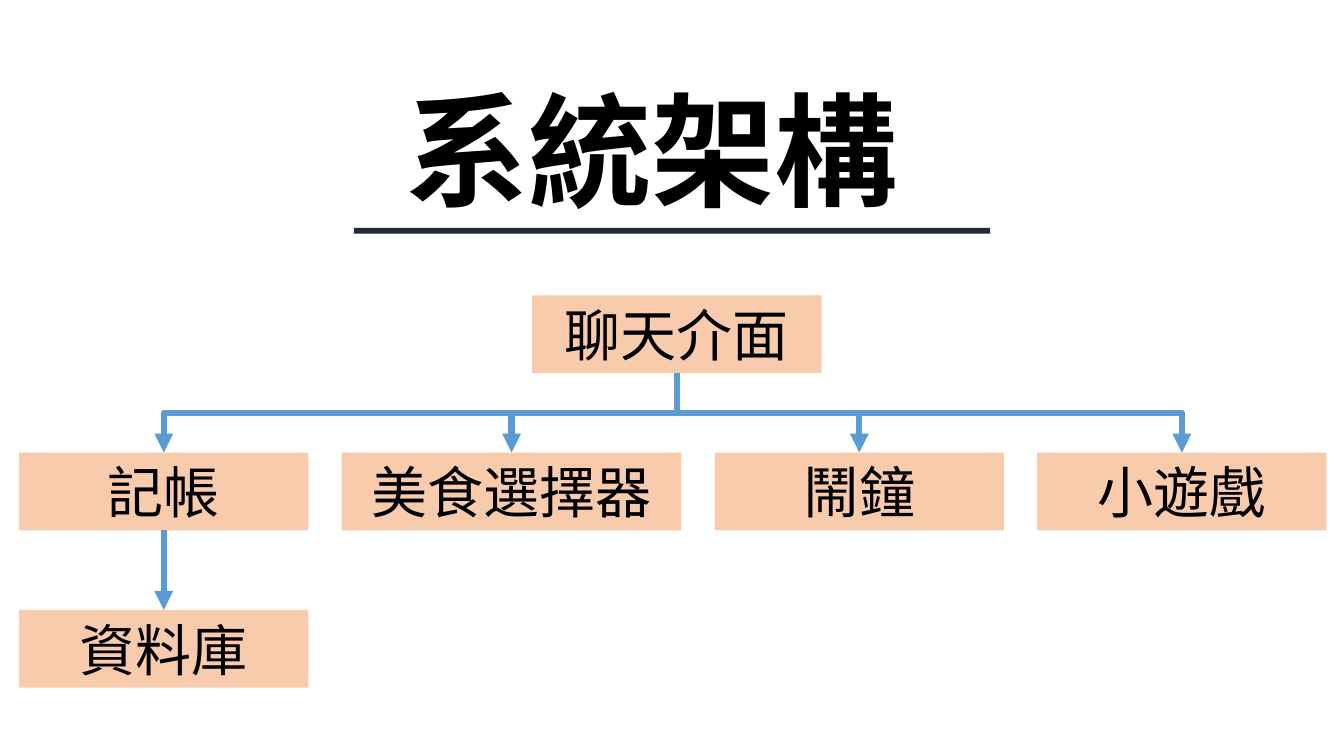
from lxml import etree
from pptx import Presentation
from pptx.dml.color import RGBColor
from pptx.enum.shapes import MSO_CONNECTOR, MSO_SHAPE
from pptx.enum.text import MSO_ANCHOR, PP_ALIGN
from pptx.oxml.ns import qn
from pptx.util import Inches, Pt

RECTANGLE = MSO_SHAPE.RECTANGLE
STRAIGHT, ELBOW = MSO_CONNECTOR.STRAIGHT, MSO_CONNECTOR.ELBOW
CENTER, LEFT = PP_ALIGN.CENTER, PP_ALIGN.LEFT
MIDDLE = MSO_ANCHOR.MIDDLE

SLIDE_W, SLIDE_H = Inches(13.33), Inches(7.5)
FONT = "Noto Sans CJK SC"
COLORS = {"text": "000000", "box": "F8CBAD", "arrow": "5B9BD5", "rule": "222A35"}

# Tree grid, in percent of the slide's width and height
TREE_LEFT, TREE_TOP = 1.42, 39.07
BOX_W, WIDE_BOX_W, BOX_H = 21.53, 25.28, 10.3
COLUMN_GAP, LEVEL_STEP = 2.47, 20.8
ROOT_LEFT = 39.6

FEATURES = [("記帳", BOX_W), ("美食選擇器", WIDE_BOX_W),
            ("鬧鐘", BOX_W), ("小遊戲", BOX_W)]


def across(percent):
    return round(SLIDE_W * percent / 100)


def down(percent):
    return round(SLIDE_H * percent / 100)


def color(name):
    return RGBColor.from_string(COLORS[name])


def write(shape, wording, size, align, bold=False):
    frame = shape.text_frame
    frame.word_wrap = True
    frame.vertical_anchor = MIDDLE
    frame.text = wording
    paragraph = frame.paragraphs[0]
    paragraph.alignment = align
    run = paragraph.runs[0]
    run.font.size = Pt(size)
    run.font.bold = bold
    run.font.name = FONT
    run.font.color.rgb = color("text")
    # East Asian typeface
    etree.SubElement(run.font._element, qn("a:ea"), typeface=FONT)


def add_bar(slide, left, top, width, height, fill):
    bar = slide.shapes.add_shape(
        RECTANGLE, across(left), down(top), across(width), down(height))
    bar.shadow.inherit = False
    bar.fill.solid()
    bar.fill.fore_color.rgb = color(fill)
    bar.line.fill.background()
    return bar


def add_node(slide, wording, left, level, width=BOX_W):
    node = add_bar(slide, left, TREE_TOP + level * LEVEL_STEP, width, BOX_H, "box")
    write(node, wording, 40, CENTER)
    return node


def add_title(slide, wording):
    title = slide.shapes.add_textbox(across(29.4), down(9.07), across(41.2), down(21.1))
    write(title, wording, 88, LEFT, bold=True)


def add_arrow(slide, parent, child):
    start_x, start_y = parent.left + parent.width // 2, parent.top + parent.height
    end_x, end_y = child.left + child.width // 2, child.top
    run, drop = end_x - start_x, end_y - start_y
    if run == 0:
        arrow = slide.shapes.add_connector(STRAIGHT, start_x, start_y, end_x, end_y)
    else:
        # An elbow leaves sideways, so it is laid flat and turned to leave downwards
        middle_x, middle_y = (start_x + end_x) // 2, (start_y + end_y) // 2
        half_w, half_h = drop // 2, abs(run) // 2
        side = 1 if run > 0 else -1
        arrow = slide.shapes.add_connector(
            ELBOW, middle_x + side * half_w, middle_y - half_h,
            middle_x - side * half_w, middle_y + half_h)
        turn = 270 if run > 0 else 90
        arrow._element.spPr.find(qn("a:xfrm")).set("rot", str(turn * 60000))
    arrow.line.color.rgb = color("arrow")
    arrow.line.width = Pt(4.5)
    etree.SubElement(arrow.line._get_or_add_ln(), qn("a:tailEnd"), type="triangle")
    etree.SubElement(arrow._element.spPr, qn("a:effectLst"))


def main():
    prs = Presentation()
    prs.slide_width, prs.slide_height = SLIDE_W, SLIDE_H
    slide = prs.slides.add_slide(prs.slide_layouts[6])

    # Heading with its rule
    add_title(slide, "系統架構")
    add_bar(slide, 26.33, 30.13, 47.34, 0.8, "rule")

    # Chat interface and the features below it
    chat = add_node(slide, "聊天介面", ROOT_LEFT, 0)
    features = []
    left = TREE_LEFT
    for wording, width in FEATURES:
        features.append(add_node(slide, wording, left, 1, width))
        left += width + COLUMN_GAP
    for feature in features:
        add_arrow(slide, chat, feature)

    # Database behind the bookkeeping feature
    database = add_node(slide, "資料庫", TREE_LEFT, 2)
    add_arrow(slide, features[0], database)

    prs.save("out.pptx")


if __name__ == "__main__":
    main()
